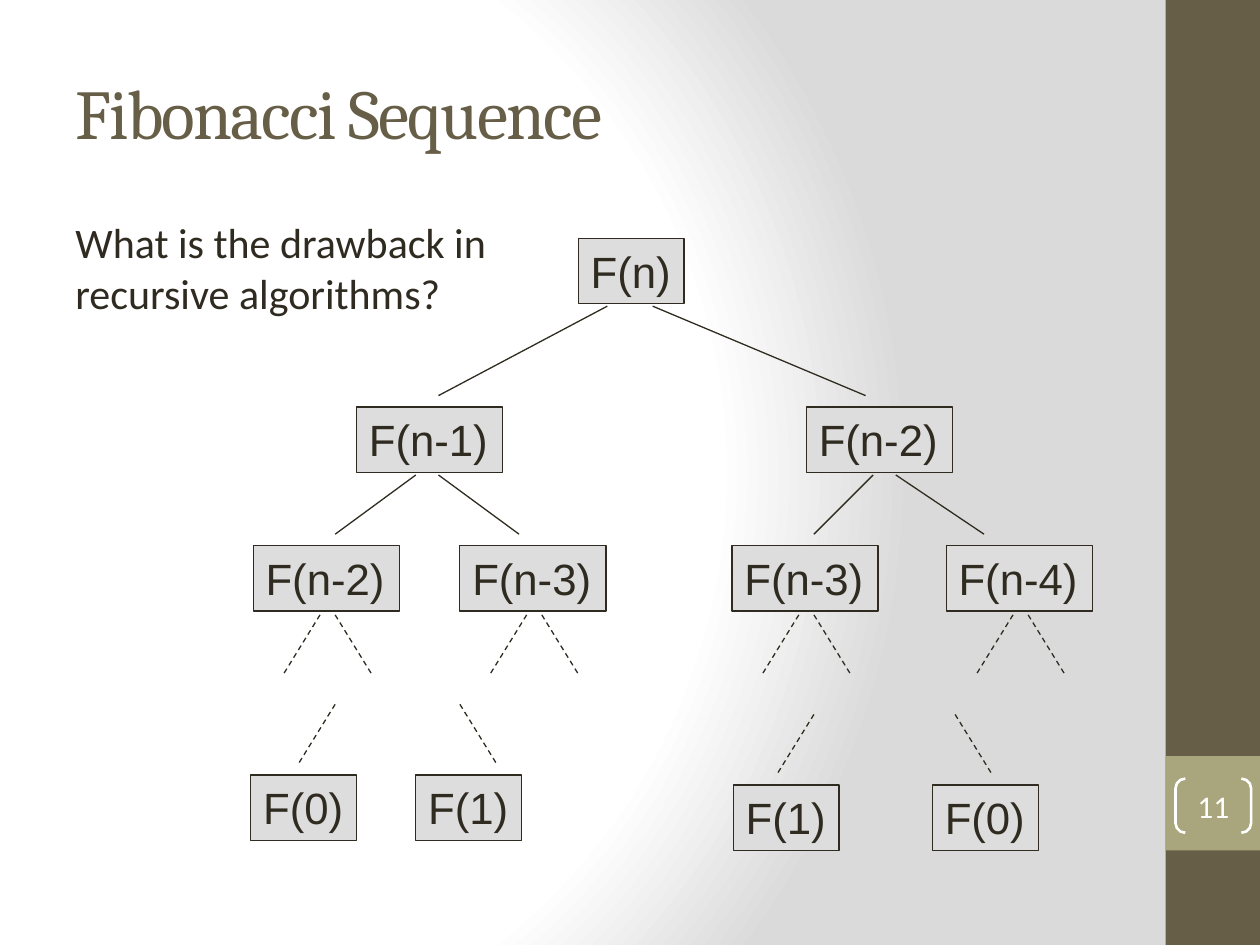
from pptx import Presentation
from pptx.dml.color import RGBColor
from pptx.enum import dml, shapes, text
from pptx.oxml import parse_xml
from pptx.oxml.ns import nsdecls
from pptx.util import Inches, Pt

INK = RGBColor(0x2F, 0x2B, 0x20)
BROWN = RGBColor(0x67, 0x5E, 0x47)
OLIVE = RGBColor(0xA9, 0xA5, 0x7C)
NODE_GREY = RGBColor(0xDD, 0xDD, 0xDD)
WHITE = RGBColor(0xFF, 0xFF, 0xFF)

NODE_HEIGHT = 0.52
SHORT_WIDTH, LONG_WIDTH = 0.84, 1.16
TWIG_WIDTH, TWIG_HEIGHT = 0.29, 0.47

TOP_NODES = [
    ("F(n)", 4.59, 1.89, SHORT_WIDTH),
    ("F(n-1)", 2.83, 3.23, LONG_WIDTH),
    ("F(n-2)", 6.4, 3.23, LONG_WIDTH),
]
THIRD_ROW_Y = 4.33
THIRD_ROW = [("F(n-2)", 2.01), ("F(n-3)", 3.65), ("F(n-3)", 5.81), ("F(n-4)", 7.51)]
LEAVES = [
    ("F(0)", 1.99, 6.15, 2.66, -1),
    ("F(1)", 3.3, 6.15, 3.65, 1),
    ("F(1)", 5.82, 6.23, 6.46, -1),
    ("F(0)", 7.4, 6.23, 7.58, 1),
]
BRANCHES = [
    (4.82, 2.43, 3.48, 3.14),
    (5.18, 2.43, 6.87, 3.14),
    (3.3, 3.77, 2.66, 4.24),
    (3.48, 3.77, 4.12, 4.24),
    (6.93, 3.77, 6.46, 4.24),
    (7.11, 3.77, 7.81, 4.24),
]


def set_background(slide):
    slide.background.fill.solid()
    properties = slide.background._cSld.bg.bgPr
    stops = "".join(
        f'<a:gs pos="{percent * 1000}"><a:srgbClr val="{color}"/></a:gs>'
        for percent, color in ((0, "FFFFFF"), (75, "FFFFFF"), (100, "DADADA"))
    )
    gradient = parse_xml(
        f'<a:gradFill {nsdecls("a")} rotWithShape="1"><a:gsLst>{stops}</a:gsLst>'
        '<a:path path="circle">'
        '<a:fillToRect l="20000" t="50000" r="100000" b="50000"/>'
        "</a:path></a:gradFill>"
    )
    properties.replace(properties[0], gradient)


def write(frame, words, size, font, color, align=text.PP_ALIGN.LEFT):
    frame.text = words
    paragraph = frame.paragraphs[0]
    paragraph.alignment = align
    paragraph.font.size = Pt(size)
    paragraph.font.name = font
    paragraph.font.color.rgb = color


def add_panel(slide, left, top, width, height, color):
    panel = slide.shapes.add_shape(
        shapes.MSO_SHAPE.RECTANGLE,
        Inches(left), Inches(top), Inches(width), Inches(height),
    )
    panel.shadow.inherit = False
    panel.fill.solid()
    panel.fill.fore_color.rgb = color
    panel.line.fill.background()
    return panel


def add_node(slide, label, left, top, width):
    node = add_panel(slide, left, top, width, NODE_HEIGHT, NODE_GREY)
    node.line.color.rgb = INK
    node.line.width = Pt(0.75)
    frame = node.text_frame
    frame.word_wrap = False
    frame.auto_size = text.MSO_AUTO_SIZE.SHAPE_TO_FIT_TEXT
    frame.vertical_anchor = text.MSO_ANCHOR.TOP
    write(frame, label, 25, "Arial", INK)


def add_branch(slide, x1, y1, x2, y2, dashed=False):
    branch = slide.shapes.add_connector(
        shapes.MSO_CONNECTOR.STRAIGHT,
        Inches(x1), Inches(y1), Inches(x2), Inches(y2),
    )
    branch.line.color.rgb = INK
    branch.line.width = Pt(0.75)
    if dashed:
        branch.line.dash_style = dml.MSO_LINE.DASH
    branch._element.spPr.append(parse_xml(f'<a:effectLst {nsdecls("a")}/>'))


def add_twig(slide, x, y, direction):
    add_branch(slide, x, y, x + direction * TWIG_WIDTH, y + TWIG_HEIGHT, dashed=True)


def add_tree(slide):
    for node in TOP_NODES:
        add_node(slide, *node)
    for branch in BRANCHES:
        add_branch(slide, *branch)
    for label, left in THIRD_ROW:
        add_node(slide, label, left, THIRD_ROW_Y, LONG_WIDTH)
        add_twig(slide, left + 0.53, THIRD_ROW_Y + 0.55, -1)
        add_twig(slide, left + 0.65, THIRD_ROW_Y + 0.55, 1)
    for label, left, top, twig_x, direction in LEAVES:
        add_node(slide, label, left, top, SHORT_WIDTH)
        add_twig(slide, twig_x, top - 0.56, direction)


def add_page_number(slide, number):
    bracket = slide.shapes.add_shape(
        shapes.MSO_SHAPE.DOUBLE_BRACKET,
        Inches(9.33), Inches(6.18), Inches(0.6), Inches(0.43),
    )
    bracket.adjustments[0] = 0.18
    bracket.shadow.inherit = False
    bracket.fill.background()
    bracket.line.color.rgb = WHITE
    bracket.line.width = Pt(1.5)
    frame = bracket.text_frame
    frame.margin_left = frame.margin_right = frame.margin_top = frame.margin_bottom = 0
    frame.vertical_anchor = text.MSO_ANCHOR.MIDDLE
    write(frame, number, 18, "Calibri", WHITE, text.PP_ALIGN.CENTER)


def set_title(slide, words):
    title = slide.shapes.title
    title.left, title.top = Inches(0.5), Inches(0.5)
    title.width, title.height = Inches(8.75), Inches(0.77)
    frame = title.text_frame
    frame.auto_size = text.MSO_AUTO_SIZE.SHAPE_TO_FIT_TEXT
    frame.vertical_anchor = text.MSO_ANCHOR.TOP
    write(frame, words, 40, "Cambria", BROWN)
    frame.paragraphs[0].runs[0]._r.get_or_add_rPr().set("spc", "-100")


def add_question(slide, words):
    question = slide.shapes.add_textbox(
        Inches(0.5), Inches(1.67), Inches(3.58), Inches(0.91)
    )
    frame = question.text_frame
    frame.word_wrap = True
    frame.auto_size = text.MSO_AUTO_SIZE.SHAPE_TO_FIT_TEXT
    write(frame, words, 24, "Calibri", INK)


def main():
    deck = Presentation()
    deck.slide_width, deck.slide_height = Inches(10), Inches(7.5)
    slide = deck.slides.add_slide(deck.slide_layouts[5])
    set_background(slide)
    add_panel(slide, 9.25, 0, 0.75, 7.5, BROWN)
    add_panel(slide, 9.25, 6, 0.75, 0.75, OLIVE)
    add_tree(slide)
    add_page_number(slide, "11")
    set_title(slide, "Fibonacci Sequence")
    add_question(slide, "What is the drawback in recursive algorithms?")
    deck.save("out.pptx")


if __name__ == "__main__":
    main()
